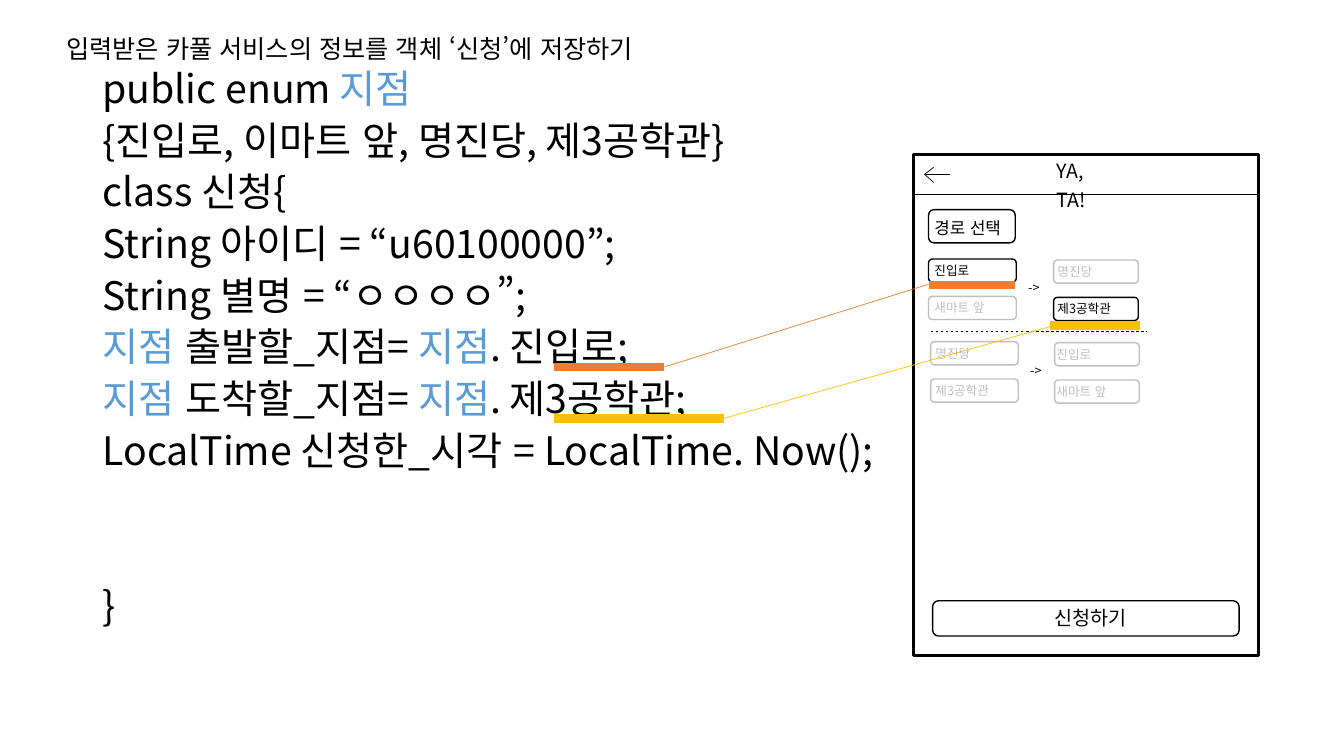
"""Builds the slide that maps a carpool request screen to code."""
from dataclasses import dataclass

from lxml import etree
from pptx import Presentation
from pptx.dml.color import RGBColor
from pptx.enum import dml, lang, shapes, text
from pptx.oxml.ns import qn
from pptx.util import Pt

PX = 9144
FONT = "Noto Sans CJK KR"
BLACK = RGBColor(0x00, 0x00, 0x00)
WHITE = RGBColor(0xFF, 0xFF, 0xFF)
GREY = RGBColor(0xBF, 0xBF, 0xBF)
BLUE = RGBColor(0x5B, 0x9B, 0xD5)
ORANGE = RGBColor(0xED, 0x7D, 0x31)
YELLOW = RGBColor(0xFF, 0xC0, 0x00)
ROW_STEP = 37
CODE_GAP = 10
CLOSING_GAP = 84


@dataclass
class Label:
    """A single-run text box."""
    words: str
    x: int
    y: int
    w: int
    h: int
    size: int
    color: RGBColor = BLACK
    align: text.PP_ALIGN = text.PP_ALIGN.LEFT


@dataclass
class Stops:
    """A column of stop buttons, with one of them possibly chosen."""
    x: int
    y: int
    w: int
    text_x: int
    names: tuple[str, ...]
    chosen: str = ""


@dataclass
class Line:
    """A straight line between two points."""
    x1: int
    y1: int
    x2: int
    y2: int
    color: RGBColor = BLACK
    width: float = 0.5
    dashed: bool = False


CODE = [
    [("public enum ", BLACK), ("지점", BLUE)],
    [("{진입로, 이마트 앞, 명진당, 제3공학관}", BLACK)],
    [("class 신청{", BLACK)],
    [("String 아이디 = “u60100000”;", BLACK)],
    [("String 별명 = “ㅇㅇㅇㅇ”;", BLACK)],
    [("지점", BLUE), (" 출발할_지점= ", BLACK), ("지점", BLUE), (". 진입로;", BLACK)],
    [("지점", BLUE), (" 도착할_지점= ", BLACK), ("지점", BLUE), (". 제3공학관;", BLACK)],
    [("LocalTime 신청한_시각 = LocalTime. Now();", BLACK)],
    [("}", BLACK)],
]
TITLE = Label("입력받은 카풀 서비스의 정보를 객체 ‘신청’에 저장하기", 56, 28, 843, 131, 18)
APP_NAME = Label("YA, TA!", 1038, 153, 74, 40, 14)
ROUTE = Label("경로 선택", 917, 211, 93, 30, 12)
APPLY = Label("신청하기", 1032, 596, 99, 34, 14, align=text.PP_ALIGN.CENTER)
ARROWS = [Label("->", 1010, 273, 290, 25, 9), Label("->", 1012, 355, 290, 25, 9)]
STOPS = [
    Stops(921, 257, 87, 917, ("진입로", "새마트 앞"), "진입로"),
    Stops(1045, 258, 84, 1039, ("명진당", "제3공학관"), "제3공학관"),
    Stops(923, 339, 87, 918, ("명진당", "제3공학관")),
    Stops(1046, 340, 84, 1038, ("진입로", "새마트 앞")),
]
SCREEN_LINES = [
    Line(917, 173, 926, 166),
    Line(917, 173, 926, 181),
    Line(917, 173, 942, 173),
    Line(906, 193, 1248, 193),
    Line(923, 329, 1138, 329, dashed=True),
]
LINKS = [
    Line(549, 364, 659, 364, ORANGE, 6),
    Line(1041, 323, 1131, 323, YELLOW, 6),
    Line(921, 283, 1007, 283, ORANGE, 6),
    Line(549, 415, 718, 415, YELLOW, 6),
    Line(659, 364, 921, 282, ORANGE),
    Line(718, 415, 1045, 323, YELLOW),
]


def add_run(p, words: str, size: int, color: RGBColor) -> None:
    """Append a Korean run in the slide's font."""
    r = p.add_run()
    r.text = words
    r.font.size = Pt(size)
    r.font.name = FONT
    r.font.language_id = lang.MSO_LANGUAGE_ID.KOREAN
    r.font.color.rgb = color
    ea = etree.SubElement(r.font._element, qn("a:ea"))
    ea.set("typeface", FONT)


def add_frame(s, x: int, y: int, w: int, h: int):
    """Add a wrapping text box and return its text frame."""
    tf = s.shapes.add_textbox(x * PX, y * PX, w * PX, h * PX).text_frame
    tf.word_wrap = True
    return tf


def add_label(s, label: Label):
    """Draw a label and return its paragraph."""
    p = add_frame(s, label.x, label.y, label.w, label.h).paragraphs[0]
    p.alignment = label.align
    add_run(p, label.words, label.size, label.color)
    return p


def add_code(s) -> None:
    """Draw the code listing."""
    tf = add_frame(s, 92, 68, 1150, 608)
    for i, runs in enumerate(CODE):
        p = tf.paragraphs[0] if i == 0 else tf.add_paragraph()
        p.line_spacing = 0.8
        if i:
            p.space_before = Pt(CLOSING_GAP if i == len(CODE) - 1 else CODE_GAP)
        for words, color in runs:
            add_run(p, words, 28, color)


def add_box(s, x: int, y: int, w: int, h: int, color: RGBColor = BLACK,
            width: float = 1, kind=shapes.MSO_SHAPE.ROUNDED_RECTANGLE) -> None:
    """Draw a white outlined box."""
    sp = s.shapes.add_shape(kind, x * PX, y * PX, w * PX, h * PX)
    sp.shadow.inherit = False
    sp.fill.solid()
    sp.fill.fore_color.rgb = WHITE
    sp.line.color.rgb = color
    sp.line.width = Pt(width)


def add_line(s, line: Line) -> None:
    """Draw a straight line."""
    c = s.shapes.add_connector(shapes.MSO_CONNECTOR.STRAIGHT, line.x1 * PX,
                               line.y1 * PX, line.x2 * PX, line.y2 * PX)
    c.line.color.rgb = line.color
    c.line.width = Pt(line.width)
    if line.dashed:
        c.line.dash_style = dml.MSO_LINE.DASH
    etree.SubElement(c._element.spPr, qn("a:effectLst"))


def add_stops(s, stops: Stops) -> None:
    """Draw a column of stop buttons."""
    for i, name in enumerate(stops.names):
        y = stops.y + i * ROW_STEP
        color = BLACK if name == stops.chosen else GREY
        add_box(s, stops.x, y, stops.w, 23, color)
        add_label(s, Label(name, stops.text_x, y - 1, 290, 25, 9, color))


def main() -> None:
    """Build and save the slide."""
    prs = Presentation()
    prs.slide_width, prs.slide_height = 1333 * PX, 750 * PX
    s = prs.slides.add_slide(prs.slide_layouts[6])
    add_code(s)
    add_label(s, TITLE)
    add_box(s, 906, 153, 342, 497, width=2.25, kind=shapes.MSO_SHAPE.RECTANGLE)
    add_box(s, 921, 208, 86, 33)
    add_box(s, 925, 596, 304, 35)
    add_run(add_label(s, APP_NAME), " ", 18, BLACK)
    for label in (ROUTE, APPLY, *ARROWS):
        add_label(s, label)
    for stops in STOPS:
        add_stops(s, stops)
    for line in SCREEN_LINES + LINKS:
        add_line(s, line)
    prs.save("out.pptx")


if __name__ == "__main__":
    main()
